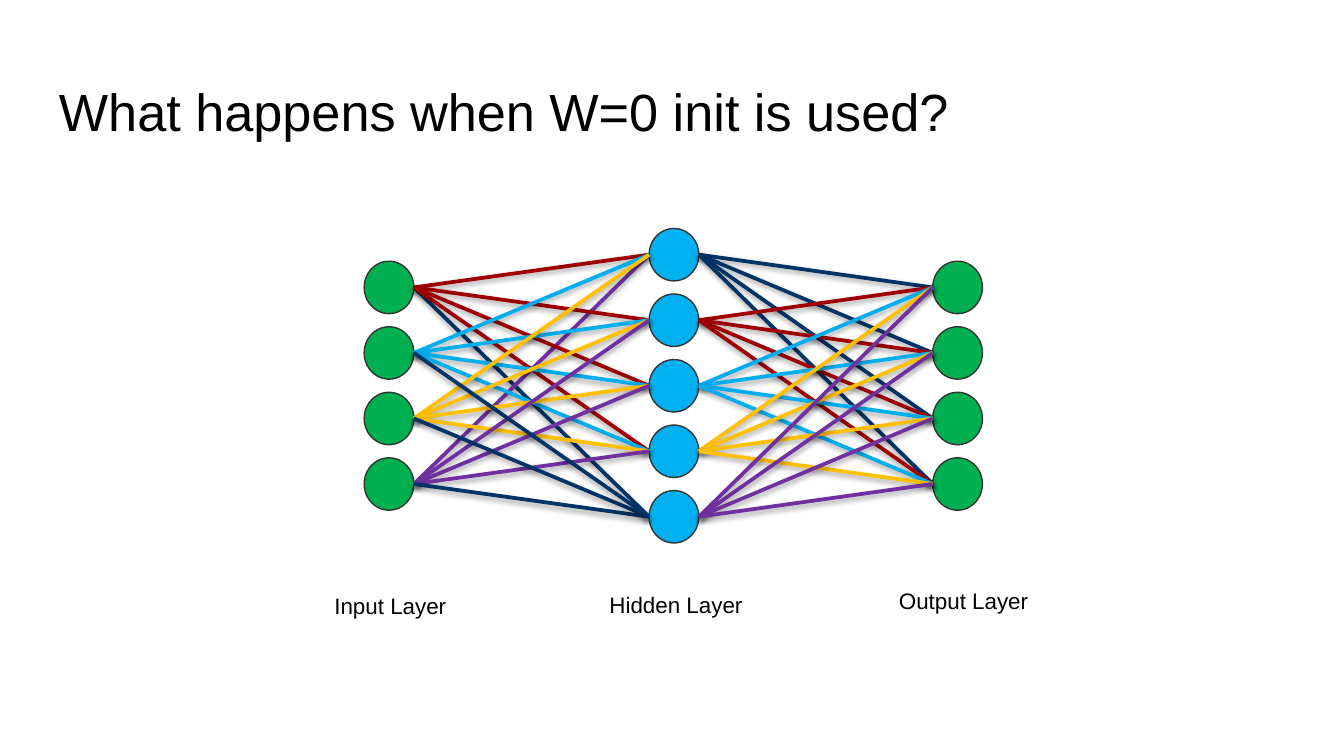
from lxml import etree
from pptx import Presentation
from pptx import util as u
from pptx.dml.color import RGBColor
from pptx.enum import shapes, text
from pptx.oxml import ns

BLACK = RGBColor(0x00, 0x00, 0x00)
OUTLINE = RGBColor(0x33, 0x33, 0x33)
GREEN = RGBColor(0x00, 0xB0, 0x50)
BLUE = RGBColor(0x00, 0xB0, 0xF0)
NAVY = RGBColor(0x00, 0x33, 0x66)
RED = RGBColor(0x9F, 0x00, 0x02)
SKY = RGBColor(0x00, 0xAD, 0xEF)
AMBER = RGBColor(0xFF, 0xC0, 0x00)
PURPLE = RGBColor(0x70, 0x30, 0xA0)

SLIDE_WIDTH = 10
SLIDE_HEIGHT = SLIDE_WIDTH * 9 / 16
NODE_WIDTH, NODE_HEIGHT = 0.37, 0.39
PITCH = 1.95 / 4
INPUT_LEFT, HIDDEN_LEFT, OUTPUT_LEFT = 2.71, 4.83, 6.94
HIDDEN_TOPS = [1.7 + PITCH * row for row in range(5)]
OUTER_TOPS = [top + PITCH / 2 for top in HIDDEN_TOPS[:4]]
INPUT_COLOURS = [RED, SKY, AMBER, PURPLE]
HIDDEN_COLOURS = [NAVY, RED, SKY, AMBER, PURPLE]
LAST = len(HIDDEN_TOPS) - 1


class NetworkSlide:
    font = "Arial"

    def __init__(self, deck):
        self.page = deck.slides.add_slide(deck.slide_layouts[6])

    def label(self, wording, left, top, width, height, size=12, inset=0,
              align=text.PP_ALIGN.CENTER, spacing=1.08):
        box = self.page.shapes.add_textbox(
            u.Inches(left), u.Inches(top), u.Inches(width), u.Inches(height))
        frame = box.text_frame
        frame.word_wrap = True
        frame.vertical_anchor = text.MSO_ANCHOR.TOP
        frame.margin_left = frame.margin_right = u.Inches(inset)
        frame.margin_top = frame.margin_bottom = u.Inches(inset)
        frame.text = wording
        para = frame.paragraphs[0]
        para.alignment = align
        para.line_spacing = spacing
        span = para.runs[0]
        span.font.name = self.font
        span.font.size = u.Pt(size)
        span.font.color.rgb = BLACK

    def layer(self, left, tops, colour):
        for top in tops:
            node = self.page.shapes.add_shape(
                shapes.MSO_SHAPE.OVAL, u.Inches(left), u.Inches(top),
                u.Inches(NODE_WIDTH), u.Inches(NODE_HEIGHT))
            node.shadow.inherit = False
            node.fill.solid()
            node.fill.fore_color.rgb = colour
            node.line.color.rgb = OUTLINE
            node.line.width = u.Pt(0.75)

    def weight(self, left, start_top, right, end_top, colour):
        line = self.page.shapes.add_connector(
            shapes.MSO_CONNECTOR.STRAIGHT,
            u.Inches(left + NODE_WIDTH), u.Inches(start_top + NODE_HEIGHT / 2),
            u.Inches(right), u.Inches(end_top + NODE_HEIGHT / 2))
        line.line.color.rgb = colour
        line.line.width = u.Pt(2)
        effects = etree.SubElement(line._element.spPr, ns.qn("a:effectLst"))
        shadow = etree.SubElement(
            effects, ns.qn("a:outerShdw"), blurRad=str(u.Pt(3.1)),
            dist=str(u.Pt(1.6)), dir="5400000", rotWithShape="0")
        black = etree.SubElement(shadow, ns.qn("a:srgbClr"), val=str(BLACK))
        etree.SubElement(black, ns.qn("a:alpha"), val="36000")

    def input_weight(self, row, hidden):
        colour = NAVY if hidden == LAST else INPUT_COLOURS[row]
        self.weight(INPUT_LEFT, OUTER_TOPS[row], HIDDEN_LEFT, HIDDEN_TOPS[hidden], colour)


def main():
    deck = Presentation()
    deck.slide_width = u.Inches(SLIDE_WIDTH)
    deck.slide_height = u.Inches(SLIDE_HEIGHT)
    slide = NetworkSlide(deck)
    slide.label("What happens when W=0 init is used?", 0.34, 0.49, 9.32, 0.63,
                size=28, inset=0.1, align=text.PP_ALIGN.LEFT, spacing=1.0)

    behind = [(0, LAST), (3, 0)]
    for row, hidden in behind:
        slide.input_weight(row, hidden)

    slide.layer(HIDDEN_LEFT, HIDDEN_TOPS, BLUE)
    slide.layer(OUTPUT_LEFT, OUTER_TOPS, GREEN)
    for start_top, colour in zip(HIDDEN_TOPS, HIDDEN_COLOURS):
        for end_top in OUTER_TOPS:
            slide.weight(HIDDEN_LEFT, start_top, OUTPUT_LEFT, end_top, colour)

    slide.layer(INPUT_LEFT, OUTER_TOPS, GREEN)
    front = [(row, hidden) for row in range(4) for hidden in range(LAST)]
    front += [(row, LAST) for row in (3, 2, 1)]
    for row, hidden in front:
        if (row, hidden) not in behind:
            slide.input_weight(row, hidden)

    slide.label("Input Layer", 2.44, 4.39, 0.93, 0.18)
    slide.label("Output Layer", 6.51, 4.35, 1.32, 0.25)
    slide.label("Hidden Layer", 4.47, 4.38, 1.12, 0.2)
    deck.save("out.pptx")


if __name__ == "__main__":
    main()
